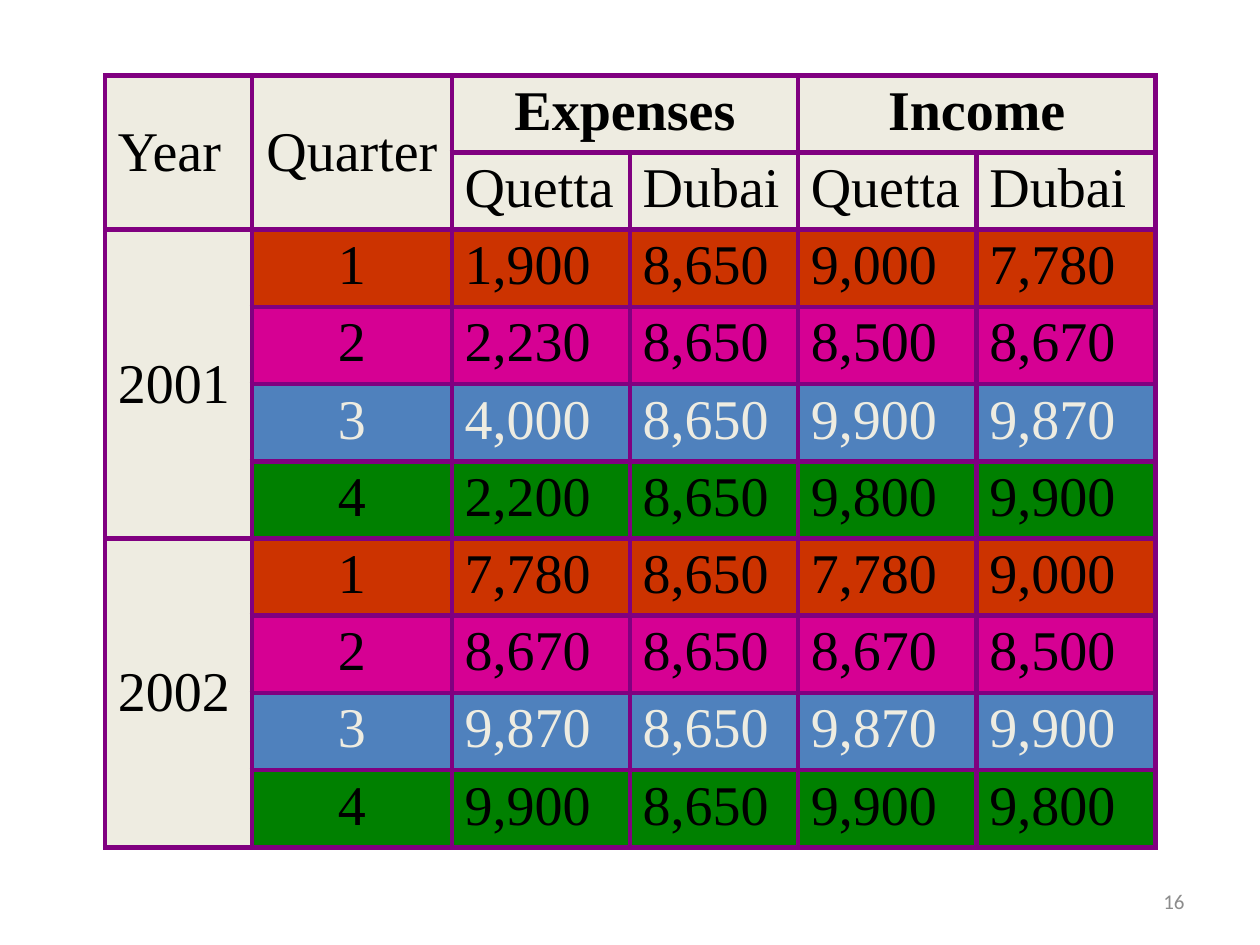
"""Build a slide with a table of quarterly expenses and income by city."""
from lxml.etree import SubElement
from pptx import Presentation
from pptx.dml.color import RGBColor
from pptx.enum.text import MSO_ANCHOR, PP_ALIGN
from pptx.oxml.ns import qn
from pptx.util import Cm, Pt

BLACK = RGBColor(0x00, 0x00, 0x00)
CREAM = RGBColor(0xEE, 0xEC, 0xE1)
RED = RGBColor(0xCC, 0x33, 0x00)
PINK = RGBColor(0xD6, 0x00, 0x93)
BLUE = RGBColor(0x4F, 0x81, 0xBD)
GREEN = RGBColor(0x00, 0x80, 0x00)
PURPLE = RGBColor(0x80, 0x00, 0x80)
GREY = RGBColor(0x8C, 0x8C, 0x8C)

QUARTER_FILLS = [RED, PINK, BLUE, GREEN]
COLUMN_WIDTHS = [2.96, 4.03, 3.59, 3.39, 3.6, 3.6]
ROW_HEIGHT = 1.51
HEADER_ROWS = 2
ROWS = [
    ["Year", "Quarter", "Expenses", "", "Income", ""],
    ["", "", "Quetta", "Dubai", "Quetta", "Dubai"],
    ["2001", "1", "1,900", "8,650", "9,000", "7,780"],
    ["", "2", "2,230", "8,650", "8,500", "8,670"],
    ["", "3", "4,000", "8,650", "9,900", "9,870"],
    ["", "4", "2,200", "8,650", "9,800", "9,900"],
    ["2002", "1", "7,780", "8,650", "7,780", "9,000"],
    ["", "2", "8,670", "8,650", "8,670", "8,500"],
    ["", "3", "9,870", "8,650", "9,870", "9,900"],
    ["", "4", "9,900", "8,650", "9,900", "9,800"],
]
MERGES = [
    ((0, 0), (1, 0)),
    ((0, 1), (1, 1)),
    ((0, 2), (0, 3)),
    ((0, 4), (0, 5)),
    ((2, 0), (5, 0)),
    ((6, 0), (9, 0)),
]


def add_run(paragraph, text, font_name, size, color, bold=False):
    run = paragraph.add_run()
    run.text = text
    run.font.name = font_name
    run.font.size = Pt(size)
    run.font.color.rgb = color
    run.font.bold = bold


def add_borders(cell, color, width):
    properties = cell._tc.get_or_add_tcPr()
    for side in ("a:lnL", "a:lnR", "a:lnT", "a:lnB"):
        line = SubElement(properties, qn(side), w=str(Pt(width)))
        fill = SubElement(line, qn("a:solidFill"))
        SubElement(fill, qn("a:srgbClr"), val=str(color))


presentation = Presentation()
presentation.slide_width = Cm(25.4)
presentation.slide_height = Cm(19.05)
slide = presentation.slides.add_slide(presentation.slide_layouts[6])

number_box = slide.shapes.add_textbox(Cm(18.2), Cm(17.66), Cm(5.93), Cm(1.01))
number_frame = number_box.text_frame
number_frame.word_wrap = True
number_frame.vertical_anchor = MSO_ANCHOR.MIDDLE
number_paragraph = number_frame.paragraphs[0]
number_paragraph.alignment = PP_ALIGN.RIGHT
add_run(number_paragraph, "16", "Calibri", 12, GREY)

table_frame = slide.shapes.add_table(
    len(ROWS), len(COLUMN_WIDTHS), Cm(2.12), Cm(1.52),
    Cm(sum(COLUMN_WIDTHS)), Cm(ROW_HEIGHT * len(ROWS)),
)
table = table_frame.table
table.first_row = False
table.horz_banding = False
for column, width in zip(table.columns, COLUMN_WIDTHS):
    column.width = Cm(width)
for row in table.rows:
    row.height = Cm(ROW_HEIGHT)
for first, last in MERGES:
    table.cell(*first).merge(table.cell(*last))

for row_index, values in enumerate(ROWS):
    for column_index, text in enumerate(values):
        cell = table.cell(row_index, column_index)
        add_borders(cell, PURPLE, 3)
        fill_color = CREAM
        if row_index >= HEADER_ROWS and column_index > 0:
            fill_color = QUARTER_FILLS[(row_index - HEADER_ROWS) % 4]
        cell.fill.solid()
        cell.fill.fore_color.rgb = fill_color
        cell.margin_top = cell.margin_bottom = Cm(0.1)
        if not text:
            continue
        is_group = row_index == 0 and column_index >= 2
        spans_rows = cell.is_merge_origin and cell.span_height > 1
        cell.vertical_anchor = MSO_ANCHOR.MIDDLE if spans_rows else MSO_ANCHOR.TOP
        paragraph = cell.text_frame.paragraphs[0]
        centered = is_group or column_index == 1
        paragraph.alignment = PP_ALIGN.CENTER if centered else PP_ALIGN.LEFT
        text_color = CREAM if fill_color == BLUE else BLACK
        add_run(paragraph, text, "Times New Roman", 32, text_color, is_group)

presentation.save("out.pptx")
